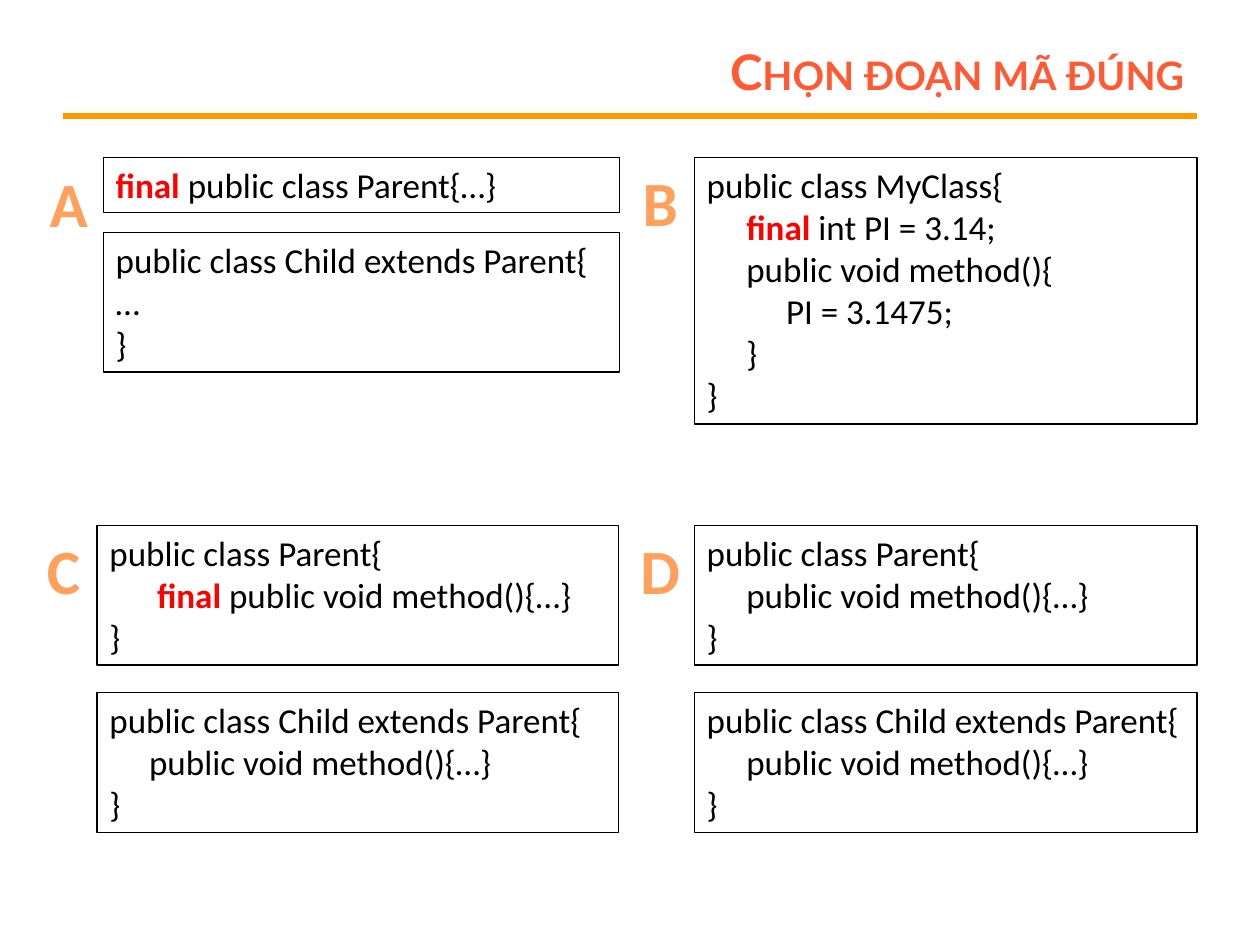
from lxml.etree import SubElement
from pptx import Presentation
from pptx.dml.color import RGBColor
from pptx.enum.shapes import MSO_CONNECTOR, MSO_SHAPE
from pptx.enum.text import MSO_ANCHOR, MSO_AUTO_SIZE, PP_ALIGN
from pptx.oxml.ns import qn
from pptx.util import Inches, Pt

COLORS = {"title": "FF5A33", "rule": "FF9900", "label": "FFA15D",
          "code": "000000", "keyword": "FF0000"}
COLUMNS, ROWS = 100, 75
SLIDE_WIDTH, SLIDE_HEIGHT = Inches(10), Inches(7.5)
LINE_ROWS, PADDING_ROWS = 3.36, 1
INDENT = 3.15

FORMATS = {
    "title": {"name": "Lato", "size": Pt(28), "bold": True},
    "label": {"name": "Calibri", "size": Pt(36), "bold": True},
    "code": {"name": "Calibri", "size": Pt(20), "bold": False},
    "keyword": {"name": "Calibri", "size": Pt(20), "bold": True},
}

CHILD = [(0, "public class Child extends Parent{"),
         (INDENT, "public void method(){…}"), (0, "}")]

ANSWERS = [
    {"letter": "A", "label_box": (2.9, 12.6, 5.1, 7.1),
     "code_box": (8.2, 12.5, 41), "gap": 1.6,
     "snippets": [
         [(0, "final public class Parent{…}")],
         [(0, "public class Child extends Parent{"), (0, "…"), (0, "}")]]},
    {"letter": "B", "label_box": (50, 12.5, 4.8, 7.1),
     "code_box": (55.1, 12.5, 39.9), "gap": 0,
     "snippets": [
         [(0, "public class MyClass{"),
          (INDENT, "final int PI = 3.14;"),
          (INDENT, "public void method(){"),
          (2 * INDENT, "PI = 3.1475;"),
          (INDENT, "}"), (0, "}")]]},
    {"letter": "C", "label_box": (2.7, 41.7, 4.7, 7.1),
     "code_box": (7.7, 41.7, 41.4), "gap": 2.2,
     "snippets": [
         [(0, "public class Parent{"),
          (1.2 * INDENT, "final public void method(){…}"), (0, "}")],
         CHILD]},
    {"letter": "D", "label_box": (49.8, 41.7, 5.2, 7.1),
     "code_box": (55.1, 41.7, 39.9), "gap": 2.2,
     "snippets": [
         [(0, "public class Parent{"),
          (INDENT, "public void method(){…}"), (0, "}")],
         CHILD]},
]


def across(columns):
    """Turn grid columns into a length."""
    return round(SLIDE_WIDTH * columns / COLUMNS)


def down(rows):
    """Turn grid rows into a length."""
    return round(SLIDE_HEIGHT * rows / ROWS)


def place(box):
    """Turn a grid box into left, top, width and height."""
    left, top, width, height = box
    return across(left), down(top), across(width), down(height)


def assign(target, values):
    """Set each named attribute on the target."""
    for attribute, value in values.items():
        setattr(target, attribute, value)


def write(paragraph, text, style):
    """Add a run of text in a named style."""
    run = paragraph.add_run()
    run.text = text
    assign(run.font, FORMATS[style])
    run.font.color.rgb = RGBColor.from_string(COLORS[style])
    return run


def add_heading(slide, box):
    """Put the title in its box, right-aligned in small capitals."""
    heading = slide.shapes.title
    assign(heading, dict(zip(("left", "top", "width", "height"), place(box))))
    assign(heading.text_frame, {"vertical_anchor": MSO_ANCHOR.MIDDLE,
                                "auto_size": MSO_AUTO_SIZE.NONE,
                                "word_wrap": True})
    paragraph = heading.text_frame.paragraphs[0]
    paragraph.alignment = PP_ALIGN.RIGHT
    run = write(paragraph, "Chọn đoạn mã đúng", "title")
    run.font._element.set("cap", "small")


def add_rule(slide, left, right, row):
    """Draw the line below the title."""
    rule = slide.shapes.add_connector(
        MSO_CONNECTOR.STRAIGHT, across(left), down(row), across(right), down(row))
    rule.line.color.rgb = RGBColor.from_string(COLORS["rule"])
    rule.line.width = Pt(3)
    SubElement(rule._element.spPr, qn("a:effectLst"))


def add_label(slide, box, letter):
    """Write the letter of an answer."""
    label = slide.shapes.add_textbox(*place(box))
    label.text_frame.word_wrap = False
    paragraph = label.text_frame.paragraphs[0]
    paragraph.alignment = PP_ALIGN.CENTER
    write(paragraph, letter, "label")


def add_snippet(slide, box, lines):
    """Frame lines of code, with the final keyword picked out."""
    frame = slide.shapes.add_shape(MSO_SHAPE.RECTANGLE, *place(box))
    frame.shadow.inherit = False
    frame.fill.background()
    frame.line.color.rgb = RGBColor.from_string(COLORS["code"])
    frame.line.width = Pt(0.75)
    body = frame.text_frame
    assign(body, {"word_wrap": True, "vertical_anchor": MSO_ANCHOR.TOP,
                  "auto_size": MSO_AUTO_SIZE.SHAPE_TO_FIT_TEXT})
    for number, (indent, code) in enumerate(lines):
        paragraph = body.add_paragraph() if number else body.paragraphs[0]
        paragraph.alignment = PP_ALIGN.LEFT
        paragraph._p.get_or_add_pPr().set("marL", str(across(indent)))
        if code.startswith("final"):
            write(paragraph, "final", "keyword")
            code = code.removeprefix("final")
        write(paragraph, code, "code")


def add_answer(slide, letter, label_box, code_box, gap, snippets):
    """Stack the snippets of one answer beside its letter."""
    left, top, width = code_box
    for lines in snippets:
        height = LINE_ROWS * len(lines) + PADDING_ROWS
        add_snippet(slide, (left, top, width, height), lines)
        top += height + gap
    add_label(slide, label_box, letter)


def main():
    """Build and save the quiz slide."""
    deck = Presentation()
    assign(deck, {"slide_width": SLIDE_WIDTH, "slide_height": SLIDE_HEIGHT})
    slide = deck.slides.add_slide(deck.slide_layouts.get_by_name("Title Only"))
    add_rule(slide, 5, 95, 9.2)
    add_heading(slide, (22.5, 3, 72.5, 5.3))
    for answer in ANSWERS:
        add_answer(slide, **answer)
    deck.save("out.pptx")


if __name__ == "__main__":
    main()
